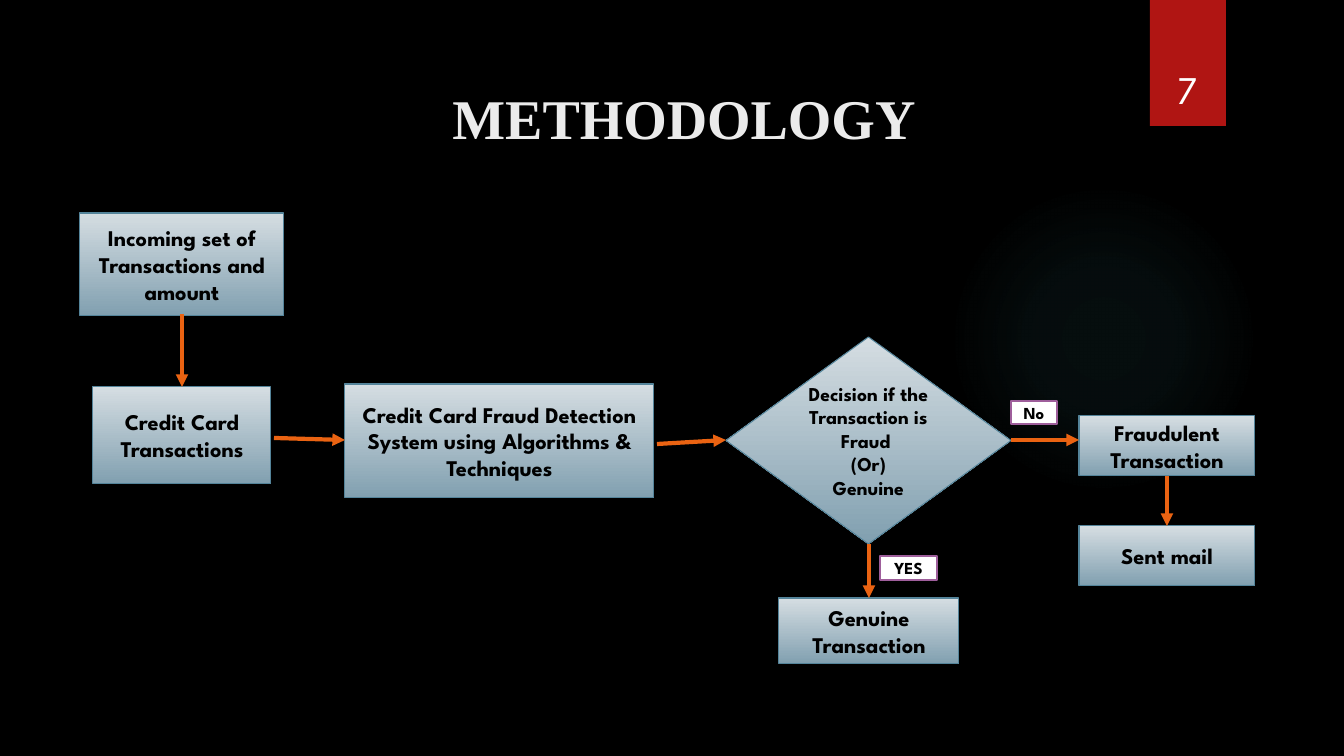
from lxml import etree
from pptx import Presentation
from pptx.dml.color import RGBColor
from pptx.enum.shapes import MSO_CONNECTOR, MSO_SHAPE
from pptx.enum.text import MSO_ANCHOR, PP_ALIGN
from pptx.oxml import parse_xml
from pptx.oxml.ns import nsdecls, qn
from pptx.util import Pt

RECTANGLE = MSO_SHAPE.RECTANGLE
OVAL = MSO_SHAPE.OVAL
DECISION = MSO_SHAPE.FLOWCHART_DECISION
STRAIGHT = MSO_CONNECTOR.STRAIGHT
CENTER = PP_ALIGN.CENTER
MIDDLE = MSO_ANCHOR.MIDDLE
BOTTOM = MSO_ANCHOR.BOTTOM

WIDTH, HEIGHT = 1344, 756
SLIDE_WIDTH = 12192000
TITLE_ONLY = 5


def emu(pixels):
    return round(pixels * SLIDE_WIDTH / WIDTH)


def color(value):
    return RGBColor.from_string(value)


class FlowSlide:
    font = "League Spartan"
    title_font = "Times New Roman"
    background, ink = "000000", "000000"
    title_ink, light = "EBEBEB", "FFFFFF"
    step_top, step_bottom, step_edge = "D5DDE2", "81A0B0", "54849A"
    label_edge, arrow_ink = "9E5E9B", "EA6312"
    ribbon_red, glow_teal = "B01513", "50B9C1"

    def __init__(self, presentation):
        self.slide = presentation.slides.add_slide(
            presentation.slide_layouts[TITLE_ONLY])
        fill = self.slide.background.fill
        fill.solid()
        fill.fore_color.rgb = color(self.background)

    def set_text(self, shape, lines, size, ink, font=font, bold=True, anchor=MIDDLE):
        frame = shape.text_frame
        frame.word_wrap = True
        frame.vertical_anchor = anchor
        frame.text = "\n".join(lines)
        for paragraph in frame.paragraphs:
            paragraph.alignment = CENTER
            paragraph.font.name = font
            paragraph.font.size = Pt(size)
            paragraph.font.bold = bold
            paragraph.font.color.rgb = color(ink)

    def shape(self, kind, box, fill=None, edge=None, weight=0.75):
        shape = self.slide.shapes.add_shape(kind, *map(emu, box))
        shape.shadow.inherit = False
        if fill:
            shape.fill.solid()
            shape.fill.fore_color.rgb = color(fill)
        if edge:
            shape.line.color.rgb = color(edge)
            shape.line.width = Pt(weight)
        else:
            shape.line.fill.background()
        return shape

    def title(self, text, box):
        title = self.slide.shapes.title
        title.left, title.top, title.width, title.height = map(emu, box)
        self.set_text(title, [text], 40, self.title_ink, self.title_font)

    def glow(self, box, stops):
        halo = self.shape(OVAL, box)
        halo.fill.background()
        stop_xml = "".join(
            f'<a:gs pos="{position * 1000}"><a:srgbClr val="{self.glow_teal}">'
            f'<a:alpha val="{alpha * 1000}"/></a:srgbClr></a:gs>'
            for position, alpha in stops)
        gradient = parse_xml(
            f'<a:gradFill {nsdecls("a")}><a:gsLst>{stop_xml}</a:gsLst>'
            '<a:path path="circle"><a:fillToRect l="50000" t="50000" '
            'r="50000" b="50000"/></a:path></a:gradFill>')
        properties = halo._element.spPr
        properties.replace(properties.find(qn("a:noFill")), gradient)

    def page_number(self, number, ribbon_box, number_box):
        self.shape(RECTANGLE, ribbon_box, self.ribbon_red)
        page = self.slide.shapes.add_textbox(*map(emu, number_box))
        self.set_text(page, [number], 28, self.light, bold=False, anchor=BOTTOM)

    def step(self, lines, box, kind=RECTANGLE, size=16):
        step = self.shape(kind, box, edge=self.step_edge)
        step.fill.gradient()
        step.fill.gradient_angle = 270
        for stop, position, shade in zip(
                step.fill.gradient_stops, (0, 1), (self.step_top, self.step_bottom)):
            stop.position = position
            stop.color.rgb = color(shade)
        self.set_text(step, lines, size, self.ink)

    def label(self, text, box):
        label = self.shape(RECTANGLE, box, self.light, self.label_edge, 1.5)
        self.set_text(label, [text], 12, self.ink)

    def arrow(self, *ends):
        arrow = self.slide.shapes.add_connector(STRAIGHT, *map(emu, ends))
        arrow.line.color.rgb = color(self.arrow_ink)
        arrow.line.width = Pt(3)
        properties = arrow._element.spPr
        etree.SubElement(properties.find(qn("a:ln")), qn("a:tailEnd"), type="triangle")
        etree.SubElement(properties, qn("a:effectLst"))


presentation = Presentation()
presentation.slide_width = emu(WIDTH)
presentation.slide_height = emu(HEIGHT)

methodology = FlowSlide(presentation)
methodology.glow((949, 184, 310, 310), [(0, 7), (36, 6), (69, 0)])
methodology.page_number("7", (1150, 0, 76, 126), (1141, 32, 93, 85))
methodology.title("METHODOLOGY", (345, 75, 678, 84))

steps = [
    ("Incoming set of Transactions and amount", (80, 213, 204, 103)),
    ("Genuine Transaction", (779, 598, 180, 66)),
    ("Credit Card Transactions", (93, 387, 178, 97)),
    ("Credit Card Fraud Detection System using Algorithms & Techniques",
     (345, 384, 309, 114)),
    ("Fraudulent Transaction", (1079, 416, 176, 60)),
    ("Sent mail", (1079, 526, 176, 60)),
]
for text, box in steps:
    methodology.step([text], box)
methodology.step(
    ["Decision if the Transaction is Fraud ", "(Or)", "Genuine"],
    (726, 337, 285, 207), DECISION, 14)

arrows = [
    (182, 314, 182, 387),
    (274, 438, 345, 440),
    (657, 444, 726, 440),
    (1167, 476, 1167, 526),
    (1011, 440, 1079, 440),
    (869, 544, 869, 598),
]
for ends in arrows:
    methodology.arrow(*ends)

methodology.label("YES", (880, 556, 57, 24))
methodology.label("No", (1011, 401, 46, 23))

presentation.save("out.pptx")
